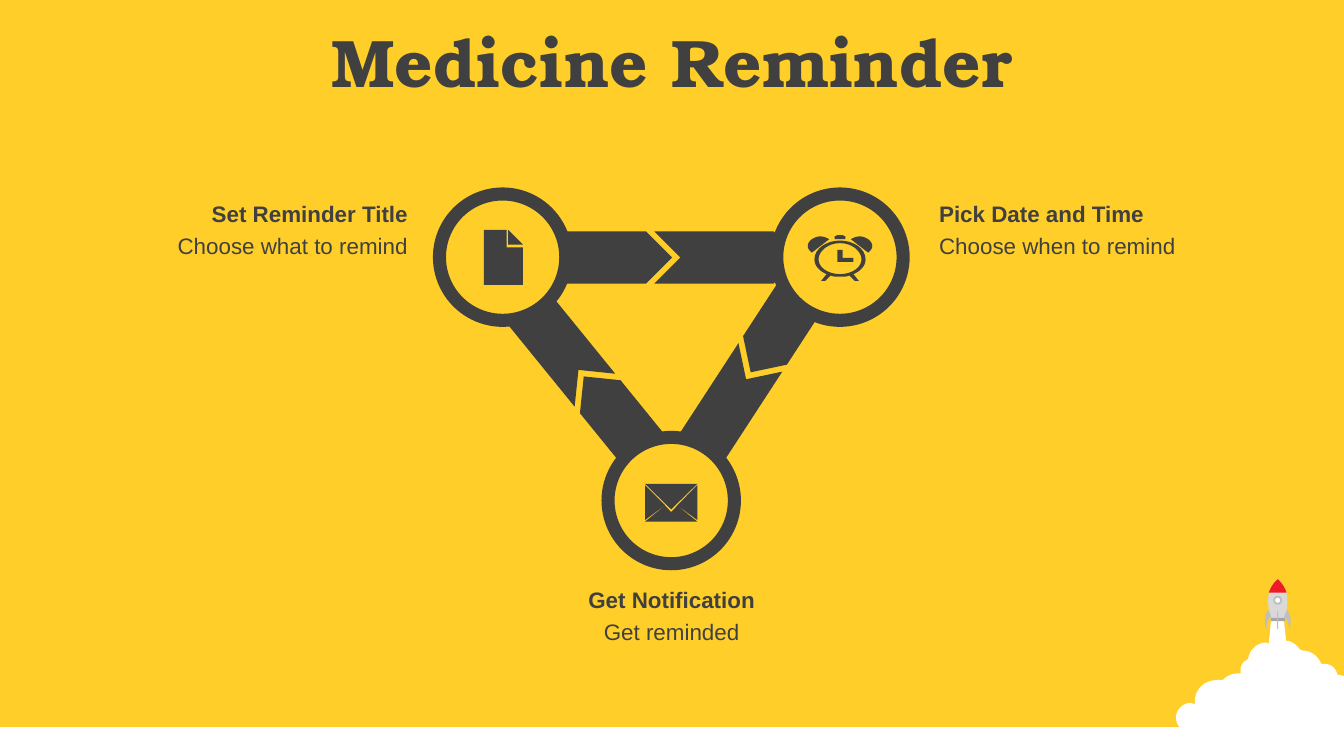
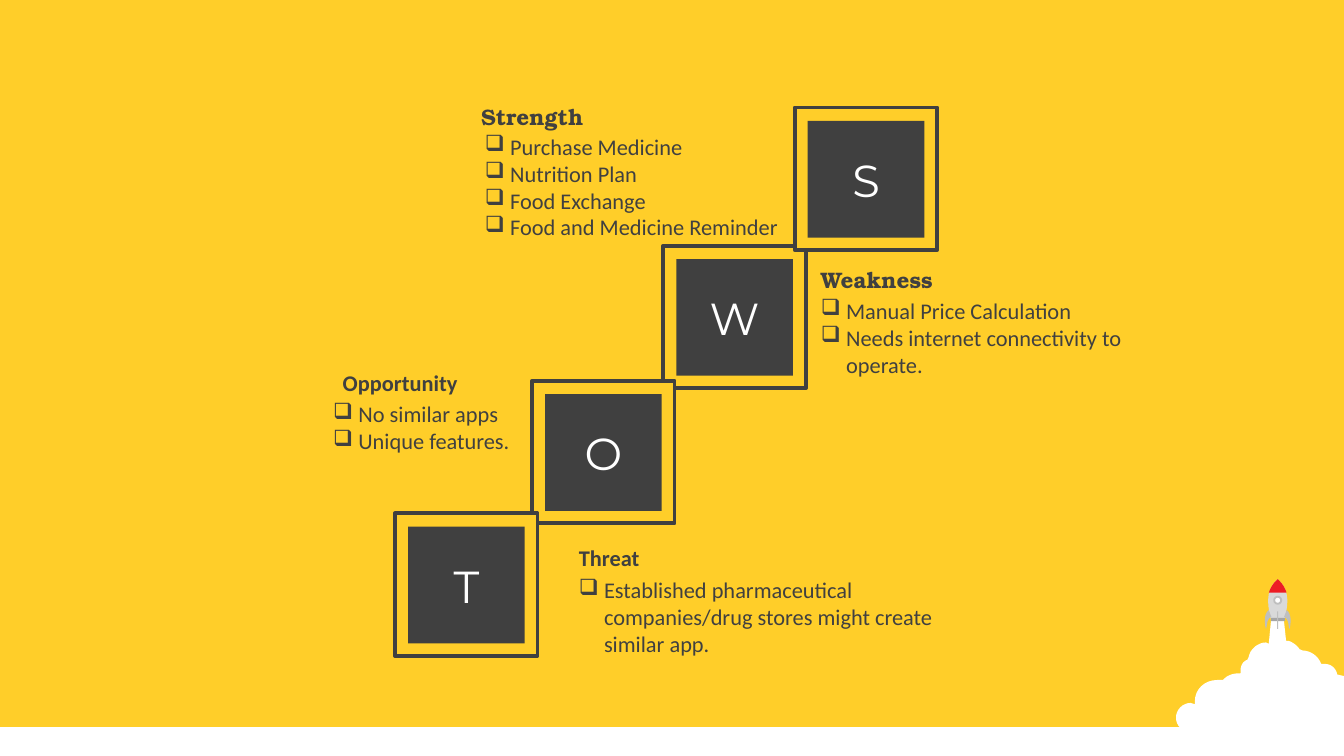
import math

import pptx
import pptx.dml.color
import pptx.enum.shapes
import pptx.enum.text
import pptx.oxml.ns
import pptx.util
from lxml import etree

Pt = pptx.util.Pt
RGB = pptx.dml.color.RGBColor
SHAPE = pptx.enum.shapes.MSO_SHAPE
ALIGN = pptx.enum.text.PP_ALIGN
ANCHOR = pptx.enum.text.MSO_ANCHOR
AUTO_SIZE = pptx.enum.text.MSO_AUTO_SIZE

YELLOW = RGB(0xFF, 0xCE, 0x29)
DARK = RGB(0x40, 0x40, 0x40)
WHITE = RGB(0xFF, 0xFF, 0xFF)
RED = RGB(0xED, 0x1C, 0x24)
HULL_GREY = RGB(0xD9, 0xD9, 0xD9)
NOZZLE_GREY = RGB(0xA6, 0xA6, 0xA6)
FIN_GREY = RGB(0xBF, 0xBF, 0xBF)

SERIF, SANS, BODY, LETTER = "TeX Gyre Bonum", "Arial", "Calibri", "Montserrat"
BLANK_LAYOUT, TITLE_LAYOUT = 6, 5
CAPTION_WIDTH = 204
ROCKET_AXIS = 684.5
CLOCK_AXIS = 450

# An outline lists points (x, y) and Bézier steps (x1, y1, x2, y2, x, y).
SMOKE = [
    (681.1, 330.5), (687.6, 330.5), (689, 343.4), (690.5, 343.4),
    (692.6, 344.2, 694.8, 345.6, 696.2, 347.8), (697.7, 348.5),
    (702, 348.5, 706.3, 351.4, 707.8, 355.7), (709.9, 355.7),
    (712.8, 355.7, 715.7, 357.8, 716.4, 361.4), (720, 362.2),
    (720, 403.2), (718.6, 403.2),
    (715.7, 403.2, 712.8, 402.5, 710.6, 401), (709.2, 401),
    (707.8, 401.8, 706.3, 402.5, 704.2, 402.5),
    (702, 402.5, 700.6, 401, 699.1, 399.6), (697.7, 399.6),
    (696.2, 401.8, 694.1, 402.5, 691.2, 402.5),
    (689, 402.5, 686.9, 401.8, 685.4, 400.3), (683.3, 400.3),
    (680.4, 402.5, 676.8, 403.9, 672.5, 403.9),
    (664.6, 403.9, 660.2, 400.3, 657.4, 396.7),
    (655.9, 398.2, 653, 398.9, 650.9, 398.2),
    (648, 397.4, 643.7, 396, 643, 392.4), (642.2, 391.7),
    (641.5, 392.4, 640.1, 392.4, 637.9, 392.4),
    (633.6, 392.4, 630, 388.8, 630, 384.5),
    (630, 380.2, 633.6, 376.6, 637.9, 376.6), (640.1, 377.3), (640.1, 375.8),
    (640.1, 369.4, 645.1, 364.3, 652.3, 364.3), (655.2, 364.3), (655.9, 363.6),
    (658.1, 361.4, 661, 360.7, 664.6, 360.7), (664.6, 359.3),
    (664.6, 356.4, 666, 354.2, 668.2, 353.5), (668.9, 352.1),
    (669.6, 347.8, 673.9, 344.2, 678.2, 344.2), (679.7, 344.9),
]
HULL = [(681, 332.6), (679.7, 326.2, 676.8, 316.8, 684.5, 310.3),
        (692.2, 316.8, 689.5, 326.2, 688, 332.6)]
NOSE = [(684.5, 310.3), (686.9, 312.5, 688.3, 314.6, 689.2, 317.5),
        (679.8, 317.5), (680.7, 314.6, 682.1, 312.5, 684.5, 310.3)]
FIN = [(679.7, 326.9), (681.1, 330.5), (678.2, 331.9, 679, 335.5, 678.2, 337),
       (677.5, 334.8, 676.8, 329, 679.7, 326.9)]

PAGE = [(259.2, 123.1), (271.4, 123.1), (271.4, 132.5), (280.1, 132.5),
        (280.1, 152.6), (259.2, 152.6)]
PAGE_FOLD = [(272.2, 123.1), (280.1, 131), (272.2, 131)]

CLOCK_HANDS = [(448.6, 133.9), (451.4, 133.9), (451.4, 138.2), (457.2, 138.2),
               (457.2, 140.4), (448.6, 140.4)]
CLOCK_DIAL = [(450, 130.3), (443.5, 130.3, 438.5, 134.6, 438.5, 139),
              (438.5, 143.3, 443.5, 146.9, 450, 146.9),
              (456.5, 146.9, 461.5, 143.3, 461.5, 139),
              (461.5, 134.6, 456.5, 130.3, 450, 130.3)]
CLOCK_CASE = [(450, 128.9), (457.2, 128.9, 463.7, 133.2, 463.7, 139),
              (463.7, 142.6, 460.8, 145.4, 457.2, 146.9),
              (460.1, 150.5), (457.9, 150.5), (455, 147.6),
              (453.6, 148.3, 452.2, 148.3, 450, 148.3),
              (447.8, 148.3, 446.4, 148.3, 445, 147.6),
              (442.1, 150.5), (439.9, 150.5), (442.8, 146.9),
              (439.2, 145.4, 436.3, 142.6, 436.3, 139),
              (436.3, 133.2, 442.8, 128.9, 450, 128.9)]
CLOCK_BELL = [(439.2, 126.7), (441.4, 126.7, 442.8, 127.4, 444.2, 128.2),
              (434.9, 135.4), (432, 133.2, 432, 130.3, 434.9, 128.2),
              (436.3, 127.4, 437.8, 126.7, 439.2, 126.7)]
CLOCK_BUTTON = [(447.1, 128.2), (447.1, 126.7), (448.6, 126), (451.4, 126),
                (452.9, 126.7), (452.9, 128.2)]

ENVELOPE = [
    [(362.9, 270.9), (373.6, 279.4), (345.6, 279.4), (356.3, 270.9), (359.6, 274.3)],
    [(373.6, 259.9), (373.6, 278.6), (362.9, 270.7)],
    [(345.6, 259.9), (356.3, 270.7), (345.6, 278.6)],
    [(345.6, 259.2), (373.6, 259.2), (359.6, 272.9)],
]


def mirrored(outline, axis):
    return [tuple(2 * axis - v if i % 2 == 0 else v for i, v in enumerate(step))
            for step in outline]


def flattened(outline, pieces=8):
    """Replace each Bézier step by short straight pieces."""
    points = []
    for step in outline:
        if len(step) == 2:
            points.append(step)
            continue
        controls = [points[-1], step[:2], step[2:4], step[4:]]
        for n in range(1, pieces + 1):
            t = n / pieces
            weights = [math.comb(3, k) * t**k * (1 - t)**(3 - k) for k in range(4)]
            points.append(tuple(sum(w * c[axis] for w, c in zip(weights, controls))
                                for axis in (0, 1)))
    return [(Pt(x), Pt(y)) for x, y in points]


class Deck:
    def __init__(self):
        self.prs = pptx.Presentation()
        self.prs.slide_width, self.prs.slide_height = Pt(720), Pt(405)
        backdrop = self.prs.slide_master.background.fill
        backdrop.solid()
        backdrop.fore_color.rgb = YELLOW

    def new_slide(self, layout):
        self.slide = self.prs.slides.add_slide(self.prs.slide_layouts[layout])
        self.shape(SHAPE.RECTANGLE, 0, 389.5, 720, 15.5, WHITE)
        self.rocket()

    def paint(self, shape, fill, line=None, width=0):
        shape.shadow.inherit = False
        shape.fill.solid()
        shape.fill.fore_color.rgb = fill
        if line is None:
            shape.line.fill.background()
        else:
            shape.line.color.rgb = line
            shape.line.width = Pt(width)
        return shape

    def shape(self, kind, left, top, width, height, fill, line=None, line_width=0):
        added = self.slide.shapes.add_shape(kind, Pt(left), Pt(top), Pt(width), Pt(height))
        return self.paint(added, fill, line, line_width)

    def outline(self, fill, *outlines):
        """Draw closed outlines as one shape; an outline inside another is a hole."""
        first, *others = [flattened(outline) for outline in outlines]
        builder = self.slide.shapes.build_freeform(*first[0], scale=1.0)
        builder.add_line_segments(first[1:], close=True)
        for points in others:
            builder.move_to(*points[0])
            builder.add_line_segments(points[1:], close=True)
        return self.paint(builder.convert_to_shape(), fill)

    def rocket(self):
        self.outline(WHITE, SMOKE)
        self.outline(HULL_GREY, HULL)
        self.shape(SHAPE.RECTANGLE, 680.8, 331, 7.5, 1.8, NOZZLE_GREY)
        self.outline(RED, NOSE)
        self.shape(SHAPE.OVAL, 682.6, 319.7, 3.8, 3.8, WHITE, FIN_GREY, 1)
        self.shape(SHAPE.RECTANGLE, 684.2, 327.6, 0.6, 9.4, FIN_GREY)
        for fin in (FIN, mirrored(FIN, ROCKET_AXIS)):
            self.outline(FIN_GREY, fin)

    def fill_text(self, frame, lines, font, size, color=DARK, bold=False, align=ALIGN.LEFT):
        frame.word_wrap = True
        frame.text = "\n".join(lines)
        for paragraph in frame.paragraphs:
            paragraph.alignment = align
            paragraph.font.name, paragraph.font.size = font, Pt(size)
            paragraph.font.bold = bold
            paragraph.font.color.rgb = color

    def title(self, text):
        title = self.slide.shapes.title
        title.left, title.top, title.width, title.height = Pt(0), Pt(10), Pt(720), Pt(45.5)
        frame = title.text_frame
        frame.auto_size = AUTO_SIZE.NONE
        frame.vertical_anchor = ANCHOR.MIDDLE
        self.fill_text(frame, [text], SERIF, 36, bold=True, align=ALIGN.CENTER)

    def text(self, left, top, width, height, lines, font, bold=False, align=ALIGN.LEFT):
        frame = self.slide.shapes.add_textbox(
            Pt(left), Pt(top), Pt(width), Pt(height)).text_frame
        frame.auto_size = AUTO_SIZE.SHAPE_TO_FIT_TEXT
        self.fill_text(frame, lines, font, 12, bold=bold, align=align)
        return frame

    def checklist(self, left, top, width, height, items):
        frame = self.text(left, top, width, height, items, BODY)
        for paragraph in frame.paragraphs:
            properties = paragraph._p.get_or_add_pPr()
            properties.set("marL", str(Pt(13.5)))
            properties.set("indent", str(-Pt(13.5)))
            bullet = etree.Element(pptx.oxml.ns.qn("a:buChar"), char="❑")
            properties.insert_element_before(bullet, "a:tabLst", "a:defRPr", "a:extLst")

    def step_caption(self, left, top, heading, detail, align):
        self.text(left, top + 17.3, CAPTION_WIDTH, 21.6, [detail], SANS, align=align)
        self.text(left, top, CAPTION_WIDTH, 21.6, [heading], SANS, True, align)

    def arrow(self, x, y, angle):
        """Draw a pentagon centred on (x, y) and a chevron following it."""
        turn = math.radians(angle)
        ahead_x, ahead_y = x + 65 * math.cos(turn), y + 65 * math.sin(turn)
        for kind, cx, cy, width in ((SHAPE.PENTAGON, x, y, 71.3),
                                    (SHAPE.CHEVRON, ahead_x, ahead_y, 77.8)):
            self.shape(kind, cx - width / 2, cy - 14, width, 28, DARK).rotation = angle

    def badge(self, x, y, *icon):
        self.shape(SHAPE.OVAL, x - 33.85, y - 33.85, 67.7, 67.7, YELLOW, DARK, 7)
        self.outline(DARK, *icon)

    def tile(self, left, top, letter):
        self.shape(SHAPE.RECTANGLE, left, top, 76.4, 76.4, YELLOW, DARK, 2)
        square = self.shape(SHAPE.RECTANGLE, left + 7, top + 7.2, 62.5, 62.5, DARK)
        square.text_frame.vertical_anchor = ANCHOR.MIDDLE
        self.fill_text(square.text_frame, [letter], LETTER, 24, WHITE, align=ALIGN.CENTER)


def medicine_reminder(deck):
    deck.new_slide(TITLE_LAYOUT)
    for x, y, angle in ((335.2, 229.3, 230.9), (421.6, 169.6, 123.1), (324.4, 138, 0)):
        deck.arrow(x, y, angle)
    deck.title("Medicine Reminder")
    deck.step_caption(257.8, 310.3, "Get Notification", "Get reminded", ALIGN.CENTER)
    deck.step_caption(496, 103.7, "Pick Date and Time", "Choose when to remind", ALIGN.LEFT)
    deck.step_caption(21.6, 103.7, "Set Reminder Title", "Choose what to remind", ALIGN.RIGHT)
    deck.badge(269.3, 137.8, PAGE, PAGE_FOLD)
    deck.badge(450, 137.8, CLOCK_CASE, CLOCK_DIAL, CLOCK_HANDS, CLOCK_BELL,
               mirrored(CLOCK_BELL, CLOCK_AXIS), CLOCK_BUTTON)
    deck.badge(359.6, 268.2, *ENVELOPE)


def swot(deck):
    deck.new_slide(BLANK_LAYOUT)
    for left, top, letter in ((355.3, 131.6, "W"), (285, 204, "O"),
                              (211.6, 275, "T"), (425.7, 57.6, "S")):
        deck.tile(left, top, letter)

    deck.checklist(303, 305.3, CAPTION_WIDTH, 51, [
        "Established pharmaceutical companies/drug stores might create similar app."])
    deck.text(303, 288, CAPTION_WIDTH, 21.6, ["Threat"], BODY, True)

    deck.checklist(432.7, 155.6, CAPTION_WIDTH, 51, [
        "Manual Price Calculation", "Needs internet connectivity to operate."])
    deck.text(432.7, 139, CAPTION_WIDTH, 21.6, ["Weakness"], SERIF, True)

    deck.checklist(171.4, 211, CAPTION_WIDTH, 51, ["No similar apps", "Unique features."])
    deck.text(48.2, 194.4, CAPTION_WIDTH, 21.6, ["Opportunity"], BODY, True, ALIGN.RIGHT)

    deck.checklist(252.7, 67.7, 248.4, 65.5, [
        "Purchase Medicine", "Nutrition Plan", "Food Exchange", "Food and Medicine Reminder"])
    deck.text(158.4, 51.8, 161.3, 21.6, ["Strength"], SERIF, True, ALIGN.RIGHT)


def main():
    deck = Deck()
    medicine_reminder(deck)
    swot(deck)
    deck.prs.save("out.pptx")


if __name__ == "__main__":
    main()
